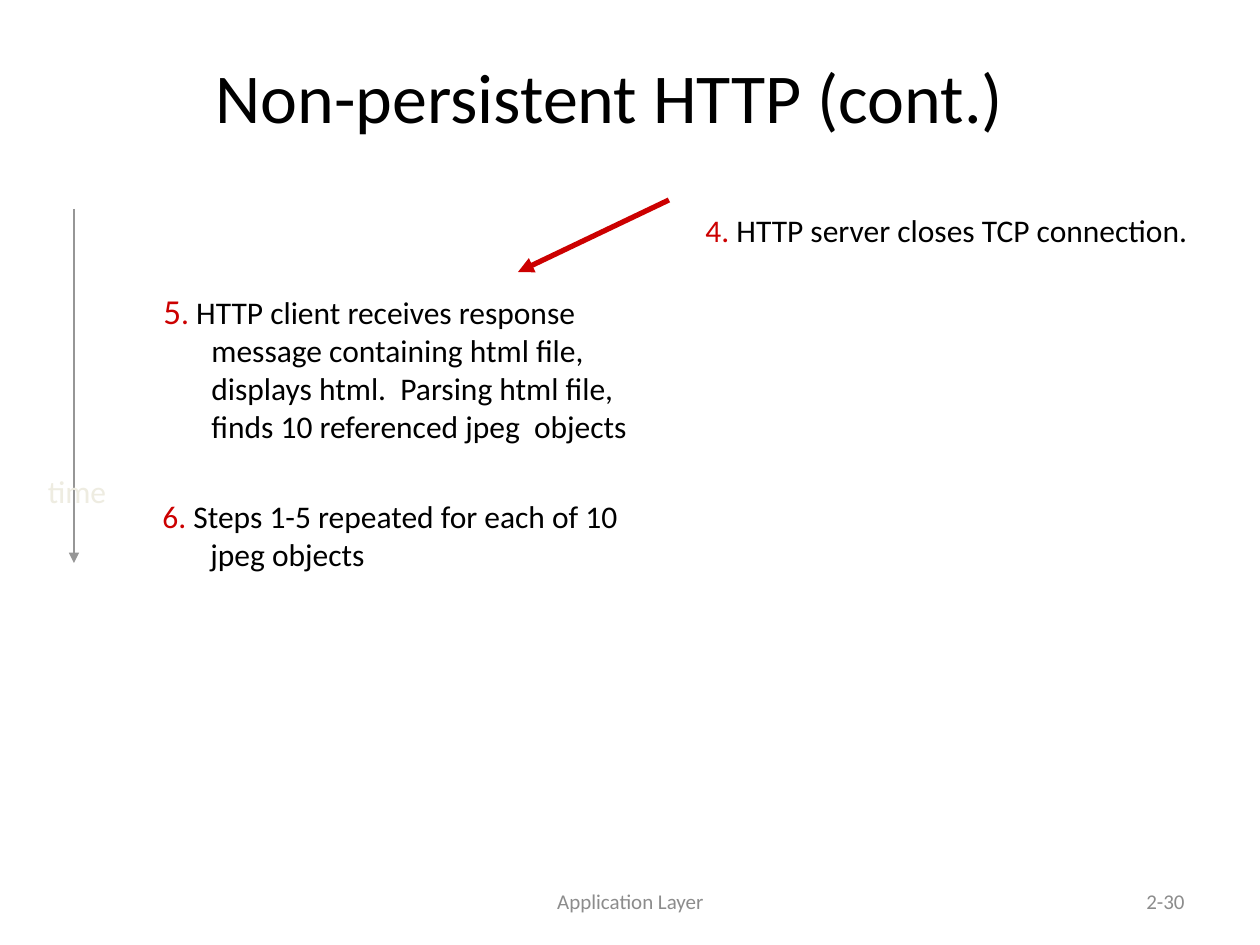
import pptx
import pptx.dml.color
import pptx.enum.shapes
import pptx.enum.text
import pptx.oxml
import pptx.oxml.ns
import pptx.util

PX = 914400 // 126
FONT = "Calibri"
COLORS = {"black": "000000", "red": "CC0000", "gray": "969696",
          "footer": "8C8C8C", "pale": "EEECE1"}
HANG = 48
ALIGN = pptx.enum.text.PP_ALIGN
ANCHOR = pptx.enum.text.MSO_ANCHOR

# Labels: box in px, anchor, alignment, wrap, (text, size, color) spans
LABELS = [
    ((431, 876, 399, 50), ANCHOR.MIDDLE, ALIGN.CENTER, True,
     [("Application Layer", 12, "footer")]),
    ((903, 876, 294, 50), ANCHOR.MIDDLE, ALIGN.RIGHT, True,
     [("2-30", 12, "footer")]),
    ((74, 35, 1071, 120), ANCHOR.MIDDLE, ALIGN.CENTER, True,
     [("Non-persistent HTTP (cont.)", 40, "black")]),
    ((33, 466, 88, 54), ANCHOR.TOP, ALIGN.CENTER, False,
     [("time", 18, "pale")]),
]

# Numbered steps: box in px, spans
STEPS = [
    ((151, 283, 525, 212),
     [("5", 20, "red"), (".", 18, "red"),
      (" HTTP client receives response message containing html file, "
       "displays html.  Parsing html file, finds 10 referenced jpeg  objects", 18, "black")]),
    ((150, 491, 525, 92),
     [("6.", 18, "red"),
      (" Steps 1-5 repeated for each of 10 jpeg objects", 18, "black")]),
    ((693, 205, 525, 101),
     [("4.", 18, "red"), (" HTTP server closes TCP connection.", 18, "black")]),
]

# Arrows: start and end in px, color, width in points
TIME_AXIS = ((74, 209), (74, 563), "gray", 1.5)
RESPONSE = ((669, 200), (518, 272), "red", 3)


def color(name):
    return pptx.dml.color.RGBColor.from_string(COLORS[name])


def add_text(page, place, anchor, align, wrap, spans):
    box = page.shapes.add_textbox(*(value * PX for value in place))
    frame = box.text_frame
    frame.word_wrap = wrap
    frame.vertical_anchor = anchor
    para = frame.paragraphs[0]
    para.alignment = align
    for text, size, tone in spans:
        span = para.add_run()
        span.text = text
        for key, value in {"name": FONT, "size": pptx.util.Pt(size)}.items():
            setattr(span.font, key, value)
        span.font.color.rgb = color(tone)
    return para


def add_step(page, place, spans):
    para = add_text(page, place, ANCHOR.TOP, ALIGN.LEFT, True, spans)
    properties = para._p.get_or_add_pPr()
    properties.set("marL", str(HANG * PX))
    properties.set("indent", str(-HANG * PX))


def add_arrow(page, start, end, tone, width):
    arrow = page.shapes.add_connector(
        pptx.enum.shapes.MSO_CONNECTOR.STRAIGHT,
        *(value * PX for value in start + end))
    arrow.line.color.rgb = color(tone)
    arrow.line.width = pptx.util.Pt(width)
    namespace = pptx.oxml.ns.nsdecls("a")
    arrow.line._get_or_add_ln().append(
        pptx.oxml.parse_xml(f'<a:tailEnd {namespace} type="triangle"/>'))
    arrow._element.spPr.append(pptx.oxml.parse_xml(f"<a:effectLst {namespace}/>"))


def main():
    deck = pptx.Presentation()
    deck.slide_width = pptx.util.Inches(10)
    deck.slide_height = pptx.util.Inches(7.5)
    page = deck.slides.add_slide(deck.slide_layouts[6])

    *headings, time_label = LABELS
    for label in headings:
        add_text(page, *label)
    for step in STEPS:
        add_step(page, *step)

    # The time label sits on top of its axis
    add_arrow(page, *TIME_AXIS)
    add_text(page, *time_label)
    add_arrow(page, *RESPONSE)
    deck.save("out.pptx")


if __name__ == "__main__":
    main()
